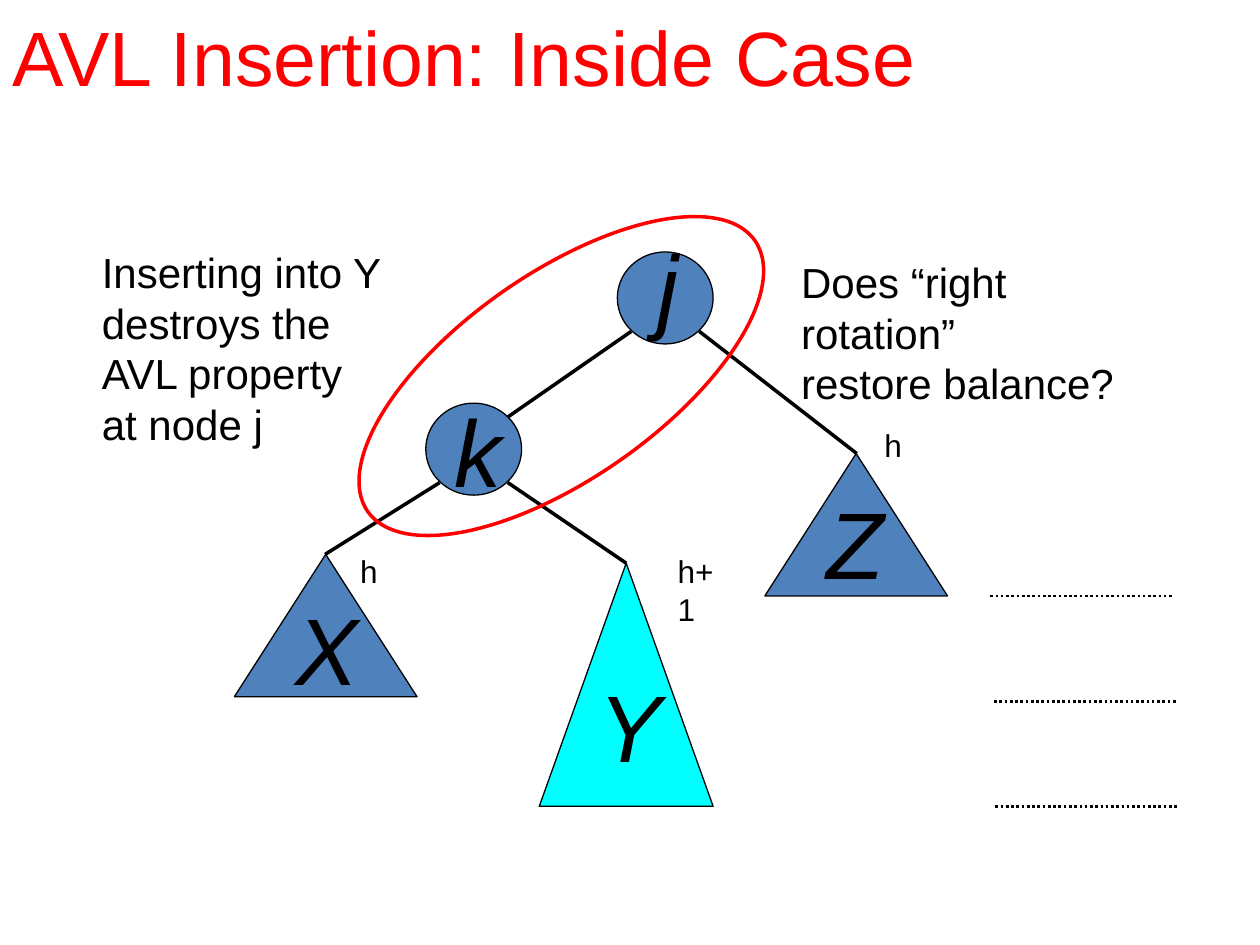
from lxml import etree
from pptx import Presentation
from pptx.dml.color import RGBColor
from pptx.enum.dml import MSO_LINE
from pptx.enum.shapes import MSO_CONNECTOR, MSO_SHAPE
from pptx.enum.text import MSO_ANCHOR, MSO_AUTO_SIZE, PP_ALIGN
from pptx.oxml.ns import qn
from pptx.util import Inches, Pt

OVAL = MSO_SHAPE.OVAL
TRIANGLE = MSO_SHAPE.ISOSCELES_TRIANGLE
STRAIGHT = MSO_CONNECTOR.STRAIGHT
DOTS = MSO_LINE.ROUND_DOT
MIDDLE = MSO_ANCHOR.MIDDLE
LEFT = PP_ALIGN.LEFT
GROW = MSO_AUTO_SIZE.SHAPE_TO_FIT_TEXT

BLACK, RED, BLUE, CYAN = "000000", "FF0000", "4F81BD", "00FFFF"


def color(code):
    return RGBColor.from_string(code)


def put_text(frame, text, size, code=BLACK, italic=False, wrap=True):
    frame.word_wrap = wrap
    frame.text = text
    for para in frame.paragraphs:
        para.alignment = LEFT
        para.font.name = "Arial"
        para.font.size = Pt(size)
        para.font.italic = italic
        para.font.color.rgb = color(code)


def add_title(slide, text):
    title = slide.shapes.title
    title.left, title.top = Inches(0), Inches(0)
    title.width, title.height = Inches(8.55), Inches(0.88)
    put_text(title.text_frame, text, 44, code=RED)
    title.text_frame.vertical_anchor = MIDDLE


def add_text(slide, box, text, size, **style):
    frame = slide.shapes.add_textbox(*map(Inches, box)).text_frame
    put_text(frame, text, size, **style)
    frame.auto_size = GROW


def add_shape(slide, kind, box, fill=None, line=BLACK, width=0.75, turn=0):
    shape = slide.shapes.add_shape(kind, *map(Inches, box))
    shape.shadow.inherit = False
    shape.rotation = turn
    if fill:
        shape.fill.solid()
        shape.fill.fore_color.rgb = color(fill)
    else:
        shape.fill.background()
    shape.line.color.rgb = color(line)
    shape.line.width = Pt(width)


def add_line(slide, start, end, width=2, dash=None):
    line = slide.shapes.add_connector(STRAIGHT, *map(Inches, start + end))
    etree.SubElement(line._element.spPr, qn("a:effectLst"))
    line.line.color.rgb = color(BLACK)
    line.line.width = Pt(width)
    if dash:
        line.line.dash_style = dash


def main():
    deck = Presentation()
    deck.slide_width, deck.slide_height = Inches(10), Inches(7.5)
    slide = deck.slides.add_slide(deck.slide_layouts[5])
    add_title(slide, "AVL Insertion: Inside Case")

    nodes = [
        ("j", OVAL, (4.9, 2, 0.76, 0.73), BLUE, (5.12, 1.76)),
        ("k", OVAL, (3.38, 3.2, 0.76, 0.73), BLUE, (3.51, 3.07)),
        ("X", TRIANGLE, (1.86, 4.4, 1.45, 1.13), BLUE, (2.25, 4.64)),
        ("Y", TRIANGLE, (4.28, 4.47, 1.38, 1.93), CYAN, (4.65, 5.25)),
        ("Z", TRIANGLE, (6.07, 3.6, 1.45, 1.13), BLUE, (6.46, 3.8)),
    ]
    for name, kind, box, fill, spot in nodes:
        add_shape(slide, kind, box, fill)
        add_text(slide, spot + (0.46, 1), name, 54, italic=True)

    edges = [
        ((5.01, 2.63), (4.03, 3.31)),
        ((5.55, 2.63), (6.8, 3.6)),
        ((3.49, 3.83), (2.58, 4.4)),
        ((4.03, 3.83), (4.97, 4.47)),
    ]
    for start, end in edges:
        add_line(slide, start, end)

    for left, top in [(7.86, 4.73), (7.89, 5.57), (7.9, 6.4)]:
        add_line(slide, (left, top), (left + 1.45, top), 1.5, DOTS)

    add_shape(slide, OVAL, (2.58, 2.17, 3.75, 1.63), line=RED, width=2, turn=325)

    notes = [
        ((0.71, 1.91, 2.51, 1.7), 24,
         "Inserting into Y\ndestroys the\nAVL property\nat node j"),
        ((6.26, 1.99, 3.14, 0.9), 24, "Does “right rotation”\nrestore balance?"),
        ((6.92, 3.33, 0.36, 0.4), 18, "h"),
        ((5.28, 4.33, 0.62, 0.4), 18, "h+1"),
        ((2.76, 4.33, 0.34, 0.4), 18, "h"),
    ]
    for box, size, text in notes:
        add_text(slide, box, text, size, wrap=False)

    deck.save("out.pptx")


if __name__ == "__main__":
    main()
